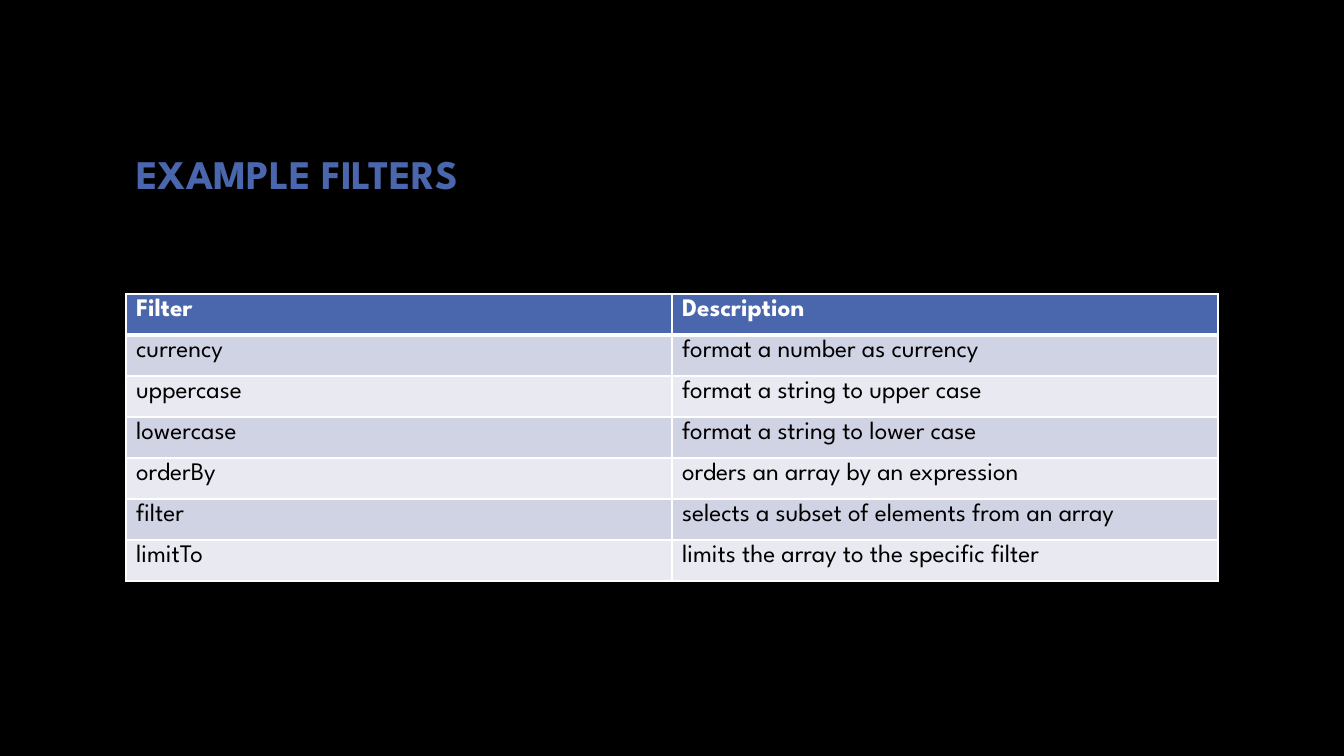
from lxml import etree
from pptx import Presentation
from pptx import util as u
from pptx.dml.color import RGBColor
from pptx.enum import text
from pptx.oxml.ns import qn

PX = 914400 / 100.8
FONT = "League Spartan"
BLACK = RGBColor(0x00, 0x00, 0x00)
WHITE = RGBColor(0xFF, 0xFF, 0xFF)
BLUE = RGBColor(0x4A, 0x66, 0xAC)
BAND_DARK = RGBColor(0xD0, 0xD3, 0xE3)
BAND_LIGHT = RGBColor(0xE9, 0xEA, 0xF1)

LEFT, WIDTH = 126, 1092
TITLE_TOP, TITLE_HEIGHT = 68, 210
TABLE_TOP, ROW_HEIGHT = 294, 41
ROWS = [
    ("Filter", "Description"),
    ("currency", "format a number as currency"),
    ("uppercase", "format a string to upper case"),
    ("lowercase", "format a string to lower case"),
    ("orderBy", "orders an array by an expression"),
    ("filter", "selects a subset of elements from an array"),
    ("limitTo", "limits the array to the specific filter"),
]


def px(length):
    return u.Emu(round(length * PX))


def add_span(para, words, size, color, bold):
    span = para.add_run()
    span.text = words
    span.font.name = FONT
    span.font.size = u.Pt(size)
    span.font.bold = bold
    span.font.color.rgb = color


# Page
deck = Presentation()
deck.slide_width, deck.slide_height = px(1344), px(756)
page = deck.slides.add_slide(deck.slide_layouts[5])
page.background.fill.solid()
page.background.fill.fore_color.rgb = BLACK

# Title
title = page.shapes.title
title.left, title.top = px(LEFT), px(TITLE_TOP)
title.width, title.height = px(WIDTH), px(TITLE_HEIGHT)
title.text_frame.word_wrap = True
title.text_frame.auto_size = text.MSO_AUTO_SIZE.NONE
title.text_frame.vertical_anchor = text.MSO_ANCHOR.MIDDLE
title_para = title.text_frame.paragraphs[0]
title_para.alignment = text.PP_ALIGN.LEFT
add_span(title_para, "EXAMPLE FILTERS", 29, BLUE, True)

# Table of filters
table = page.shapes.add_table(
    len(ROWS), 2, px(LEFT), px(TABLE_TOP), px(WIDTH), px(ROW_HEIGHT * len(ROWS))
).table
for column in table.columns:
    column.width = px(WIDTH // 2)

for row, words_in_row in enumerate(ROWS):
    table.rows[row].height = px(ROW_HEIGHT)
    header = row == 0
    band = BLUE if header else BAND_DARK if row % 2 else BAND_LIGHT
    for col, words in enumerate(words_in_row):
        cell = table.cell(row, col)
        cell.fill.solid()
        cell.fill.fore_color.rgb = band
        add_span(cell.text_frame.paragraphs[0], words, 18,
                 WHITE if header else BLACK, header)

        # White borders, with a thick rule under the header
        borders = {"lnL": 1, "lnR": 1, "lnT": 3 if row == 1 else 1,
                   "lnB": 3 if header else 1}
        properties = cell._tc.get_or_add_tcPr()
        for place, (side, points) in enumerate(borders.items()):
            line = etree.Element(qn(f"a:{side}"), w=str(u.Pt(points)))
            fill = etree.SubElement(line, qn("a:solidFill"))
            etree.SubElement(fill, qn("a:srgbClr"), val=str(WHITE))
            properties.insert(place, line)

deck.save("out.pptx")
